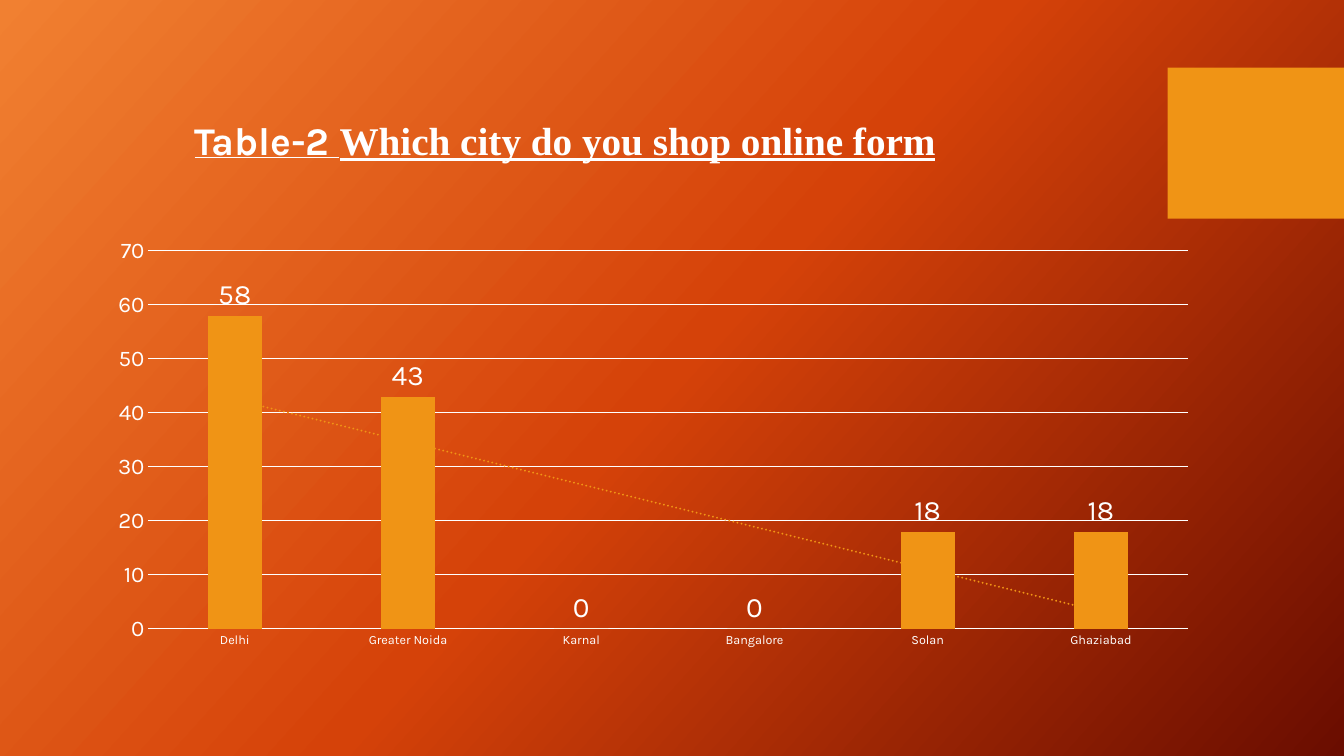
from copy import deepcopy

from lxml import etree
from pptx import Presentation
from pptx.chart import data as cd
from pptx.dml import color
from pptx.enum import chart as ch, shapes, text
from pptx.oxml import ns, parse_xml
from pptx.util import Inches, Pt

SANS, SERIF = "Karla", "Times New Roman"
WHITE, AMBER = "FFFFFF", "F09415"
CITIES = {"Delhi": 58, "Greater Noida": 43, "Karnal": 0,
          "Bangalore": 0, "Solan": 18, "Ghaziabad": 18}


def rgb(hex_color):
    return color.RGBColor.from_string(hex_color)


def style(font, size, name=SANS, hex_color=WHITE, bold=False, underline=False):
    font.size, font.name = Pt(size), name
    font.bold, font.underline = bold, underline
    font.color.rgb = rgb(hex_color)


def add_run(p, txt, **fmt):
    r = p.add_run()
    r.text = txt
    style(r.font, **fmt)


def set_line(line, hex_color, width=0.75):
    line.color.rgb = rgb(hex_color)
    line.width = Pt(width)


def paint_background(s, hex_colors, angle):
    fill = s.background.fill
    fill.gradient()
    stops = s.element.find(".//" + ns.qn("a:gsLst"))
    template = deepcopy(stops[0])
    for stop in list(stops):
        stops.remove(stop)
    for i, hex_color in enumerate(hex_colors):
        stop = deepcopy(template)
        stop.set("pos", str(100000 * i // (len(hex_colors) - 1)))
        for child in list(stop):
            stop.remove(child)
        etree.SubElement(stop, ns.qn("a:srgbClr")).set("val", hex_color)
        stops.append(stop)
    fill.gradient_angle = 360 - angle  # counter-clockwise


def add_corner_block(s, x, y, w, h):
    sp = s.shapes.add_shape(shapes.MSO_SHAPE.RECTANGLE,
                            Inches(x), Inches(y), Inches(w), Inches(h))
    sp.shadow.inherit = False
    sp.fill.solid()
    sp.fill.fore_color.rgb = rgb(AMBER)
    sp.line.fill.background()


def fill_title(s, x, y, w, h):
    sp = s.shapes.title
    sp.left, sp.top, sp.width, sp.height = map(Inches, (x, y, w, h))
    tf = sp.text_frame
    tf.word_wrap = True
    tf.auto_size = text.MSO_AUTO_SIZE.SHAPE_TO_FIT_TEXT
    tf.vertical_anchor = text.MSO_ANCHOR.TOP
    p = tf.paragraphs[0]
    p.alignment = text.PP_ALIGN.LEFT
    fmt = dict(size=28, bold=True, underline=True)
    add_run(p, "Table-2 ", **fmt)
    add_run(p, "Which city do you shop online form", name=SERIF, **fmt)


def add_trendline(ser, hex_color, width):
    trend = parse_xml(
        f'<c:trendline {ns.nsdecls("c", "a")}><c:spPr>'
        f'<a:ln w="{Pt(width)}" cap="rnd"><a:solidFill><a:srgbClr val="{hex_color}"/>'
        '</a:solidFill><a:prstDash val="sysDot"/></a:ln></c:spPr>'
        '<c:trendlineType val="linear"/><c:dispRSqr val="0"/><c:dispEq val="0"/>'
        '</c:trendline>')
    ser._element.find(ns.qn("c:cat")).addprevious(trend)


def add_city_chart(s, x, y, w, h):
    data = cd.CategoryChartData()
    data.categories = list(CITIES)
    data.add_series("Series 1", list(CITIES.values()))
    chart = s.shapes.add_chart(ch.XL_CHART_TYPE.COLUMN_CLUSTERED, Inches(x), Inches(y),
                               Inches(w), Inches(h), data).chart
    chart.has_legend = chart.has_title = False
    style(chart.font, 10)

    # Columns, value labels and trend
    plot = chart.plots[0]
    plot.gap_width, plot.overlap, plot.vary_by_categories = 219, -27, False
    ser = plot.series[0]
    ser.format.fill.solid()
    ser.format.fill.fore_color.rgb = rgb(AMBER)
    labels = ser.data_labels
    labels.show_value = True
    labels.position = ch.XL_LABEL_POSITION.OUTSIDE_END
    style(labels.font, 20)
    add_trendline(ser, AMBER, 1.5)

    # Axes
    cat, val = chart.category_axis, chart.value_axis
    for axis, size in ((cat, 9), (val, 16)):
        axis.major_tick_mark = axis.minor_tick_mark = ch.XL_TICK_MARK.NONE
        style(axis.tick_labels.font, size)
    set_line(cat.format.line, WHITE)
    val.format.line.fill.background()
    val.minimum_scale, val.maximum_scale, val.major_unit = 0, 70, 10
    val.has_major_gridlines = True
    set_line(val.major_gridlines.format.line, WHITE)


def main():
    prs = Presentation()
    prs.slide_width, prs.slide_height = Inches(13.33), Inches(7.5)
    s = prs.slides.add_slide(prs.slide_layouts[5])  # title only
    paint_background(s, ("F18031", "D54209", "6A0D00"), 42)
    add_corner_block(s, 11.58, 0.67, 1.75, 1.5)
    add_city_chart(s, 0.95, 2.28, 11.05, 4.23)
    fill_title(s, 1.83, 1.1, 8.1, 0.57)
    prs.save("out.pptx")


if __name__ == "__main__":
    main()
